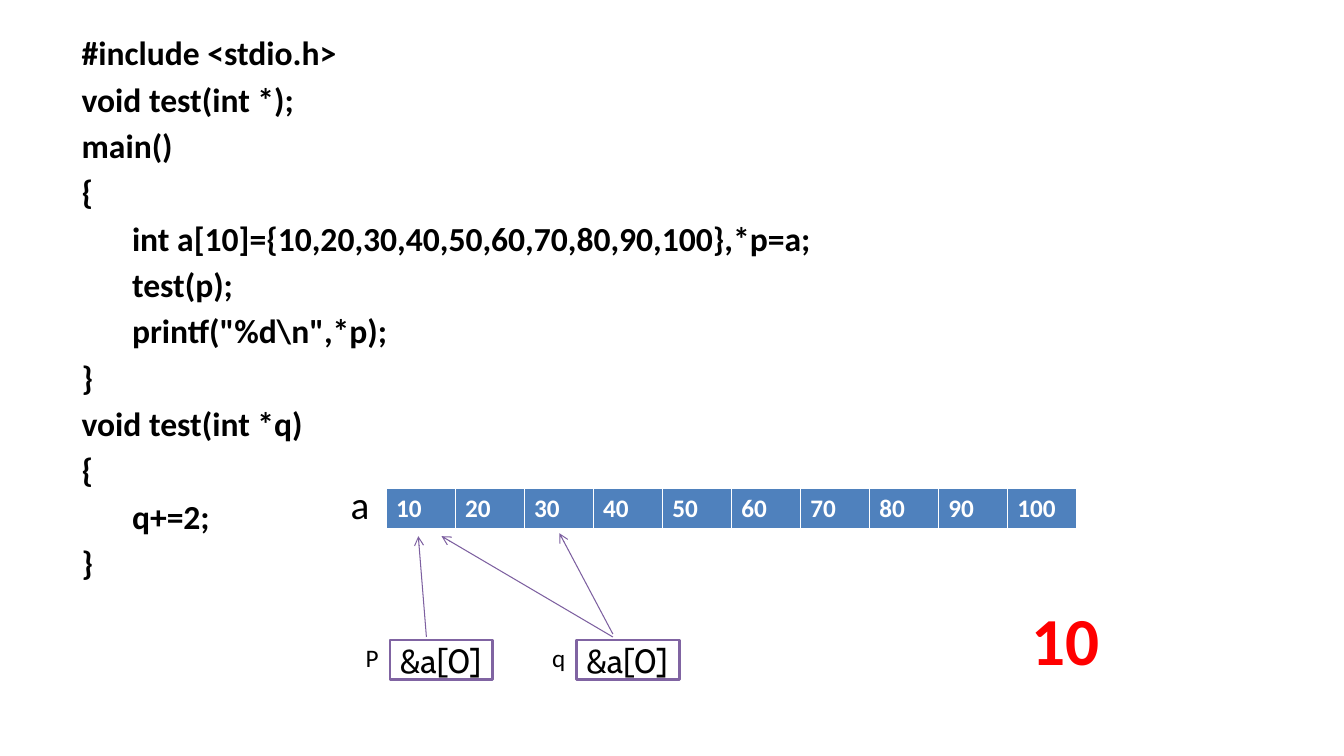
from lxml.etree import SubElement
from pptx import Presentation
from pptx.dml.color import RGBColor
from pptx.enum.shapes import MSO_CONNECTOR as CONN, MSO_SHAPE as SHAPE
from pptx.enum.text import MSO_ANCHOR as ANCHOR, MSO_AUTO_SIZE as AUTO, PP_ALIGN as ALIGN
from pptx.oxml.ns import qn
from pptx.util import Pt

CODE = [
    "#include <stdio.h>",
    "void test(int *);",
    "main()",
    "{",
    "\tint a[10]={10,20,30,40,50,60,70,80,90,100},*p=a;",
    "\ttest(p);",
    "\tprintf(\"%d\\n\",*p);",
    "}",
    "void test(int *q)",
    "{",
    "\tq+=2;",
    "}",
]
ARRAY = [str(n) for n in range(10, 101, 10)]
POINTERS = [("P", 278.6), ("q", 411.8)]
POINTER_VALUE = "&a[0]"
LABELS = [
    ("10", (729.4, 424.1, 113, 65.5), 48, "FF0000", True),
    ("a", (243.4, 339.8, 28.1, 41), 28, "000000", False),
]
ARROWS = [
    ((304.6, 455), (298.8, 383)),
    ((437.8, 455), (315.4, 383)),
    ((437.8, 452.9), (399.6, 380.9)),
]
TABLE_LEFT, TABLE_TOP, CELL_W, CELL_H = 275.8, 349.2, 49.3, 29.2
BOX_TOP, BOX_W, BOX_H = 457.2, 73.4, 28.1
LABEL_W, LABEL_H = 24.5, 28.8


def rgb(color):
    return RGBColor.from_string(color)


def pts(*values):
    return [Pt(v) for v in values]


def style(p, size, color, bold=False, font="Calibri"):
    p.alignment = ALIGN.LEFT
    for r in p.runs:
        r.font.name = font
        r.font.size = Pt(size)
        r.font.bold = bold
        r.font.color.rgb = rgb(color)


def add_label(s, text, box, size, color, bold=False):
    tf = s.shapes.add_textbox(*pts(*box)).text_frame
    tf.word_wrap = bold
    tf.text = text
    style(tf.paragraphs[0], size, color, bold)


def add_code(s):
    body = s.placeholders[1]
    body.left, body.top, body.width, body.height = pts(51.1, 19.4, 672.5, 452.9)
    tf = body.text_frame
    tf.auto_size = AUTO.NONE
    tf.text = "\n".join(CODE)
    for i, p in enumerate(tf.paragraphs):
        pPr = p._p.get_or_add_pPr()
        pPr.set("marL", "0")
        pPr.set("indent", "0")
        SubElement(pPr, qn("a:buNone"))
        tabs = SubElement(pPr, qn("a:tabLst"))
        SubElement(tabs, qn("a:tab"), pos=str(Pt(72)), algn="l")
        p.space_before = Pt(4.3 if i else 0)
        style(p, 24, "000000", True)


def add_border(cell, side, width):
    ln = SubElement(cell._tc.get_or_add_tcPr(), qn("a:" + side), w=str(Pt(width)))
    fill = SubElement(ln, qn("a:solidFill"))
    SubElement(fill, qn("a:srgbClr"), val="FFFFFF")


def add_array(s):
    n = len(ARRAY)
    frame = s.shapes.add_table(1, n, *pts(TABLE_LEFT, TABLE_TOP, n * CELL_W, CELL_H))
    for col, value in enumerate(ARRAY):
        frame.table.columns[col].width = Pt(CELL_W)
        cell = frame.table.cell(0, col)
        for side, width in (("lnL", 1), ("lnR", 1), ("lnT", 1), ("lnB", 3)):
            add_border(cell, side, width)
        cell.fill.solid()
        cell.fill.fore_color.rgb = rgb("4F81BD")
        cell.text_frame.text = value
        style(cell.text_frame.paragraphs[0], 18, "FFFFFF", True)


def add_pointer(s, name, left):
    sp = s.shapes.add_shape(SHAPE.RECTANGLE, *pts(left, BOX_TOP, BOX_W, BOX_H))
    sp.shadow.inherit = False
    sp.fill.solid()
    sp.fill.fore_color.rgb = rgb("FFFFFF")
    sp.line.color.rgb = rgb("8064A2")
    sp.line.width = Pt(2)
    tf = sp.text_frame
    tf.word_wrap = False
    tf.vertical_anchor = ANCHOR.MIDDLE
    tf.text = POINTER_VALUE
    style(tf.paragraphs[0], 24, "000000", font="Cabin")
    add_label(s, name, (left - LABEL_W, BOX_TOP - 2.2, LABEL_W, LABEL_H), 18, "000000")


def add_arrow(s, start, end):
    line = s.shapes.add_connector(CONN.STRAIGHT, *pts(*start, *end))
    line.line.color.rgb = rgb("7D60A0")
    line.line.width = Pt(0.75)
    SubElement(line.line._get_or_add_ln(), qn("a:tailEnd"), type="arrow")
    SubElement(line._element.spPr, qn("a:effectLst"))


def main():
    prs = Presentation()
    prs.slide_width, prs.slide_height = pts(960, 540)
    s = prs.slides.add_slide(prs.slide_layouts[1])
    title = s.shapes.title._element
    title.getparent().remove(title)
    add_code(s)
    add_array(s)
    for name, left in POINTERS:
        add_pointer(s, name, left)
    for start, end in ARROWS:
        add_arrow(s, start, end)
    for label in LABELS:
        add_label(s, *label)
    prs.save("out.pptx")


if __name__ == "__main__":
    main()
